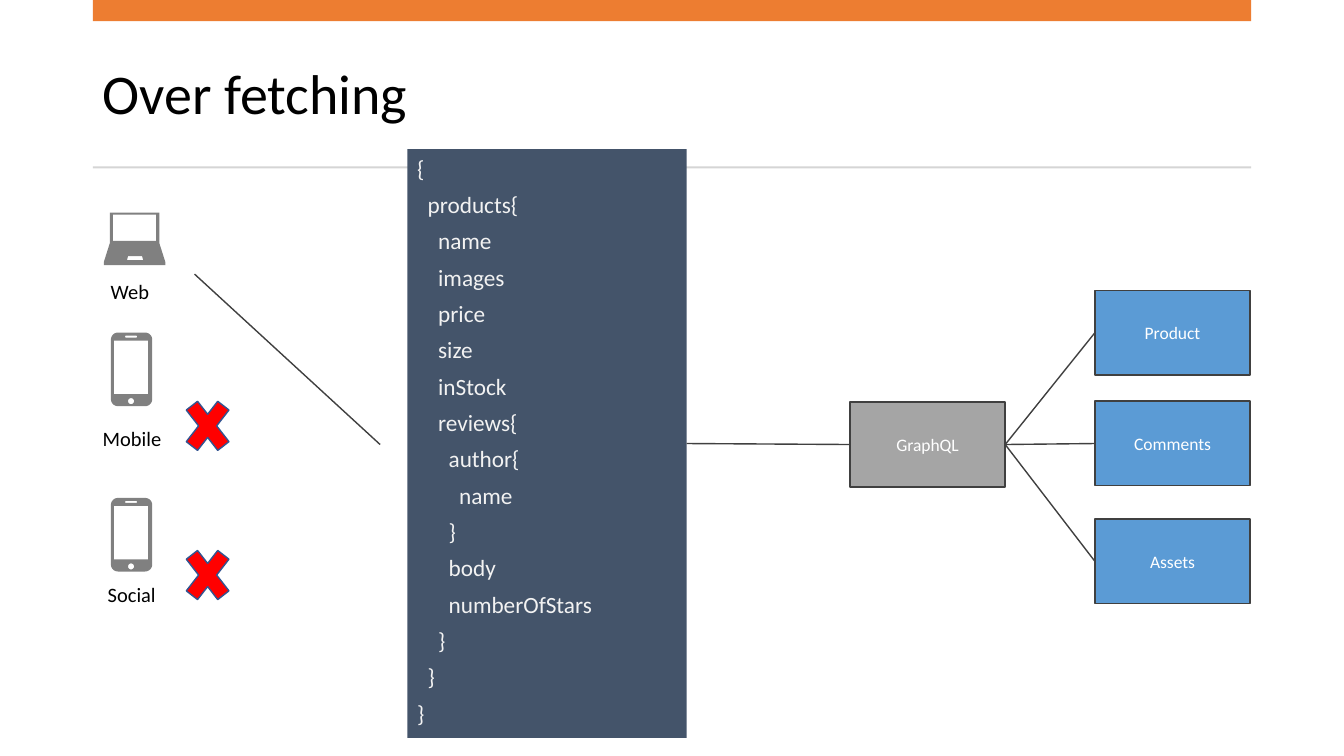
from math import cos, pi, sin

from lxml.etree import SubElement
from pptx import Presentation
from pptx.dml.color import RGBColor
from pptx.enum.shapes import MSO_CONNECTOR, MSO_SHAPE
from pptx.enum.text import MSO_ANCHOR, PP_ALIGN
from pptx.oxml.ns import qn
from pptx.util import Inches, Pt

TITLE = "Over fetching"
QUERY = [
    "{",
    "  products{",
    "    name",
    "    images",
    "    price",
    "    size",
    "    inStock",
    "    reviews{",
    "      author{",
    "        name",
    "      }",
    "      body",
    "      numberOfStars",
    "    }",
    "  }",
    "}",
]
CLIENTS = [("Web", 1, 2.72, 0.8), ("Mobile", 0.92, 4.18, 1.17), ("Social", 0.97, 5.73, 1.07)]
SERVICES = [("Product", 2.88), ("Comments", 3.98), ("Assets", 5.15)]
PHONE_TOPS = [3.3, 4.94]
CROSS_TOPS = [3.84, 5.32]

MARGIN, CONTENT_WIDTH = 0.92, 11.49
NODE_WIDTH, NODE_HEIGHT = 1.54, 0.84
LINE_COLOR, ICON_COLOR = "404040", "808080"

LAPTOP = [
    [(1.09, 2.11), (1.58, 2.11), (1.58, 2.41), (1.64, 2.6), (1.64, 2.63),
     (1.03, 2.63), (1.03, 2.6), (1.09, 2.41)],
    [(1.12, 2.13), (1.12, 2.39), (1.55, 2.39), (1.55, 2.13)],
    [(1.27, 2.54), (1.26, 2.58), (1.42, 2.58), (1.41, 2.54)],
]


def color(hex_text):
    return RGBColor.from_string(hex_text)


def paint(shape, fill, line=None):
    shape.shadow.inherit = False
    shape.fill.solid()
    shape.fill.fore_color.rgb = color(fill)
    if line:
        shape.line.color.rgb = color(line)
        shape.line.width = Pt(1)
    else:
        shape.line.fill.background()


def add_preset(kind, left, top, width, height, fill, line=None):
    shape = page.shapes.add_shape(kind, Inches(left), Inches(top), Inches(width), Inches(height))
    paint(shape, fill, line)
    return shape


def write(box, lines, size, text_color, anchor=MSO_ANCHOR.TOP, **paragraph_format):
    frame = box.text_frame
    frame.word_wrap = True
    frame.vertical_anchor = anchor
    formats = {"alignment": PP_ALIGN.LEFT, "space_after": Pt(6), **paragraph_format}
    for index, line in enumerate(lines):
        para = frame.add_paragraph() if index else frame.paragraphs[0]
        for name, value in formats.items():
            setattr(para, name, value)
        span = para.add_run()
        span.text = line
        for name, value in {"name": "Calibri", "size": Pt(size)}.items():
            setattr(span.font, name, value)
        span.font.color.rgb = color(text_color)


def add_label(lines, left, top, width, height, size, **formats):
    box = page.shapes.add_textbox(Inches(left), Inches(top), Inches(width), Inches(height))
    write(box, lines, size, "000000", **formats)


def add_node(name, left, top, fill):
    node = add_preset(MSO_SHAPE.RECTANGLE, left, top, NODE_WIDTH, NODE_HEIGHT, fill, LINE_COLOR)
    write(node, [name], 12.5, "FFFFFF", MSO_ANCHOR.MIDDLE, alignment=PP_ALIGN.CENTER)
    return node


def add_line(start=(0, 0), end=(0, 0)):
    line = page.shapes.add_connector(
        MSO_CONNECTOR.STRAIGHT, *[Inches(value) for value in (*start, *end)])
    line.line.color.rgb = color(LINE_COLOR)
    line.line.width = Pt(1)
    SubElement(line._element.spPr, qn("a:effectLst"))
    return line


def join(left_box, right_box):
    line = add_line()
    line.begin_connect(left_box, 3)
    line.end_connect(right_box, 1)


def rounded(left, top, width, height, radius, steps=8):
    """Return the outline points of a rectangle with rounded corners."""
    right, bottom = left + width - radius, top + height - radius
    corners = [(right, bottom), (left + radius, bottom),
               (left + radius, top + radius), (right, top + radius)]
    return [(x + radius * cos(angle), y + radius * sin(angle))
            for quarter, (x, y) in enumerate(corners)
            for angle in [(quarter + step / steps) * pi / 2 for step in range(steps + 1)]]


def phone(top):
    return [
        rounded(1.1, top, 0.41, 0.73, 0.07),
        [(1.13, top + 0.08), (1.13, top + 0.61), (1.47, top + 0.61), (1.47, top + 0.08)],
        rounded(1.24, top + 0.03, 0.12, 0.02, 0.01),
        rounded(1.27, top + 0.65, 0.06, 0.06, 0.03),
    ]


def add_icon(contours):
    """Draw one filled outline; contours after the first are holes."""
    scaled = [[(Inches(x), Inches(y)) for x, y in contour] for contour in contours]
    builder = page.shapes.build_freeform(*scaled[0][0])
    for index, contour in enumerate(scaled):
        if index:
            builder.move_to(*contour[0])
        builder.add_line_segments(contour[1:], close=True)
    paint(builder.convert_to_shape(), ICON_COLOR)


deck = Presentation()
deck.slide_width, deck.slide_height = Inches(13.33), Inches(7.5)
page = deck.slides.add_slide(deck.slide_layouts[6])

add_label([TITLE], MARGIN, 0.37, CONTENT_WIDTH, 1.18, 40,
          anchor=MSO_ANCHOR.MIDDLE, line_spacing=0.9, space_after=Pt(0))
add_preset(MSO_SHAPE.RECTANGLE, MARGIN, 0, CONTENT_WIDTH, 0.21, "ED7D31")
add_preset(MSO_SHAPE.RECTANGLE, MARGIN, 1.65, CONTENT_WIDTH, 0.02, "D5D5D5")

for name, left, top, width in CLIENTS:
    add_label([name], left, top, width, 0.35, 14.6)

gateway = add_node("GraphQL", 8.43, 3.99, "A5A5A5")
query_panel = add_preset(MSO_SHAPE.RECTANGLE, 4.04, 1.48, 2.77, 5.84, "44546A")
write(query_panel, QUERY, 16.6, "F2F2F2")

join(query_panel, gateway)
add_line((3.77, 4.41), (1.93, 2.72))
for name, top in SERVICES:
    join(gateway, add_node(name, 10.86, top, "5B9BD5"))

add_icon(LAPTOP)
for top in PHONE_TOPS:
    add_icon(phone(top))
for top in CROSS_TOPS:
    add_preset(MSO_SHAPE.MATH_MULTIPLY, 1.76, top, 0.6, 0.77, "FF0000", "325491")

deck.save("out.pptx")
